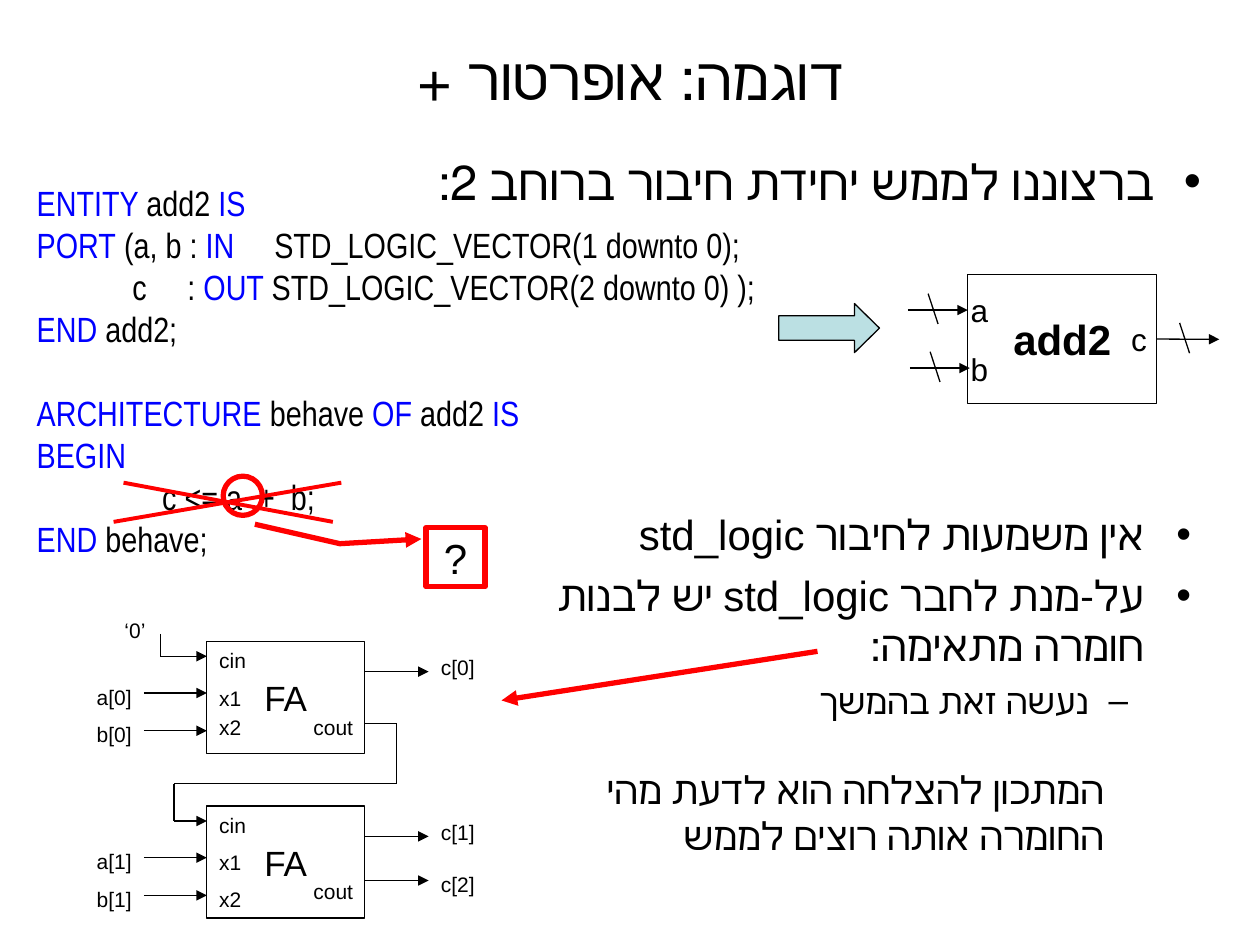
from lxml.etree import SubElement
from pptx import Presentation
from pptx.dml.color import RGBColor
from pptx.enum.shapes import MSO_CONNECTOR, MSO_SHAPE
from pptx.enum.text import MSO_ANCHOR, PP_ALIGN
from pptx.oxml.ns import qn
from pptx.util import Cm, Pt

COLORS = {"black": "000000", "keyword": "0000FF", "red": "FF0000", "arrow": "BBE0E3"}
ALIGN = {"l": PP_ALIGN.LEFT, "c": PP_ALIGN.CENTER, "r": PP_ALIGN.RIGHT}


def rgb(name):
    return RGBColor.from_string(COLORS[name])


def write(p, text, size=12, font="Arial", color="black", bold=False, align="l",
          rtl=False, before=0, bullet=None, margin=0, hang=0, tabs=()):
    """Fill a paragraph; text is a string or a list of (text, colour) runs."""
    p.alignment = ALIGN[align]
    p.space_before = Pt(before)
    for part, part_color in [(text, color)] if isinstance(text, str) else text:
        r = p.add_run()
        r.text = part
        r.font.size, r.font.name, r.font.bold = Pt(size), font, bold
        r.font.color.rgb = rgb(part_color)
    pPr = p._p.get_or_add_pPr()
    if rtl:
        pPr.set("rtl", "1")
    if bullet:
        pPr.set("marL", str(Cm(margin)))
        pPr.set("indent", str(-Cm(hang)))
        SubElement(pPr, qn("a:buFont"), typeface="Arial")
        SubElement(pPr, qn("a:buChar"), char=bullet)
    if tabs:
        tab_list = SubElement(pPr, qn("a:tabLst"))
        for pos in tabs:
            SubElement(tab_list, qn("a:tab"), pos=str(Cm(pos)), algn="l")


class Board:
    def __init__(self, slide, line_width=0.75):
        self.slide = slide
        self.line_width = line_width

    def text(self, x, y, w, h, *paragraphs, **fmt):
        """Each paragraph is a string, a run list, or (text, own format)."""
        tf = self.slide.shapes.add_textbox(Cm(x), Cm(y), Cm(w), Cm(h)).text_frame
        tf.word_wrap = True
        for i, item in enumerate(paragraphs):
            content, own = item if isinstance(item, tuple) else (item, {})
            p = tf.add_paragraph() if i else tf.paragraphs[0]
            write(p, content, **{**fmt, **own})

    def shape(self, kind, x, y, w, h, text=None, color="black", width=None,
              fill=None, wrap=False, **fmt):
        sp = self.slide.shapes.add_shape(kind, Cm(x), Cm(y), Cm(w), Cm(h))
        sp.shadow.inherit = False
        if fill:
            sp.fill.solid()
            sp.fill.fore_color.rgb = rgb(fill)
        else:
            sp.fill.background()
        sp.line.color.rgb = rgb(color)
        sp.line.width = Pt(width or self.line_width)
        if text:
            tf = sp.text_frame
            tf.word_wrap = wrap
            tf.vertical_anchor = MSO_ANCHOR.MIDDLE
            write(tf.paragraphs[0], text, align="c", **fmt)
        return sp

    def line(self, x1, y1, x2, y2, arrow=False, color="black", width=None):
        c = self.slide.shapes.add_connector(
            MSO_CONNECTOR.STRAIGHT, Cm(x1), Cm(y1), Cm(x2), Cm(y2))
        c.line.color.rgb = rgb(color)
        c.line.width = Pt(width or self.line_width)
        if arrow:
            SubElement(c.line._get_or_add_ln(), qn("a:tailEnd"), type="triangle")
        SubElement(c._element.spPr, qn("a:effectLst"))
        return c

    def wire(self, *points):
        """Bent wire with an arrowhead on its last leg."""
        last = len(points) - 2
        for i, (start, end) in enumerate(zip(points, points[1:])):
            self.line(*start, *end, arrow=i == last)

    def bus(self, x, y):
        """Arrow with a slash across it."""
        c = self.line(x, y, x + 1.21, y, arrow=True)
        self.line(x + 0.41, y - 0.33, x + 0.61, y + 0.28)
        return c

    def full_adder(self, i, dy, x2_top):
        self.shape(MSO_SHAPE.RECTANGLE, 4.17, 12.93 + dy, 3.18, 2.26, "FA", size=20)
        for y in (13.97, 14.73):
            self.line(2.9, y + dy, 4.17, y + dy, arrow=True)
        self.line(7.35, 13.54 + dy, 8.64, 13.54 + dy, arrow=True)
        for name, x, y in ((f"a[{i}]", 1.7, 13.67), (f"b[{i}]", 1.7, 14.43),
                           (f"c[{i}]", 8.64, 13.07), ("cin", 4.17, 12.93),
                           ("x1", 4.17, 13.69), ("x2", 4.17, x2_top),
                           ("cout", 6.07, 14.27)):
            self.text(x, y + dy, 1.42, 0.76, name)


prs = Presentation()
prs.slide_width, prs.slide_height = Cm(25.4), Cm(19.05)
s = Board(prs.slides.add_slide(prs.slide_layouts[6]))

# Title and opening bullet
s.text(1.3, 0.71, 22.86, 1.8, "דוגמה: אופרטור +", size=34, align="c", rtl=True)
level1 = dict(bullet="•", margin=0.95, hang=0.95)
s.text(5.69, 2.92, 18.77, 1.8, "ברצוננו לממש יחידת חיבור ברוחב 2:",
       size=28, align="r", rtl=True, **level1)

# VHDL code
K, B = "keyword", "black"
s.text(0.49, 3.53, 18.6, 7.87,
       [("ENTITY ", K), ("add2", B), (" IS", K)],
       ([("PORT", K), (" (a, b : ", B), ("IN\t", K),
         ("STD_LOGIC_VECTOR(1 downto 0);", B)], dict(tabs=[4.79])),
       ([("\tc\t: ", B), ("OUT ", K), ("STD_LOGIC_VECTOR(2 downto 0) );", B)],
        dict(tabs=[1.93, 3.04])),
       [("END", K), (" add2;", B)],
       ([("ARCHITECTURE", K), (" behave ", B), ("OF", K), (" add2 ", B), ("IS", K)],
        dict(before=24)),
       [("BEGIN", K)],
       ("\tc <= a  +  b;", dict(tabs=[2.53])),
       [("END", K), (" behave;", B)],
       size=20, font="Arial Narrow")

# Ripple adder: two full adders with the carry wired between them
STAGE = 3.32
s.full_adder(0, 0, 14.27)
s.full_adder(1, STAGE, 14.43)
s.text(2.26, 12.32, 1.2, 0.76, "‘0’")
s.wire((3.23, 12.78), (3.23, 13.23), (4.17, 13.23))
s.wire((7.35, 14.58), (8, 14.58), (8, 15.8), (3.51, 15.8), (3.51, 16.55), (4.17, 16.55))
s.line(7.35, 17.75, 8.64, 17.75, arrow=True)
s.text(8.64, 17.45, 1.42, 0.76, "c[2]")

# add2 block with its buses
arrow = s.shape(MSO_SHAPE.RIGHT_ARROW, 15.7, 6.12, 2.03, 0.99, fill="arrow")
arrow.adjustments[1] = 0.51
add2 = s.shape(MSO_SHAPE.RECTANGLE, 19.51, 5.54, 3.81, 2.59, "add2", size=24, bold=True)
for name, x, y in (("a", 19.38, 5.74), ("b", 19.38, 6.93), ("c", 22.58, 6.32)):
    s.text(x, y, 0.79, 1.02, name, size=18, align="r", rtl=True)
s.bus(18.3, 6.25)
s.bus(18.34, 7.42)
s.bus(23.37, 6.84).begin_connect(add2, 3)

# Crossed-out addition and its callout
s.shape(MSO_SHAPE.OVAL, 4.5, 9.6, 0.79, 0.79, color="red", width=3)
callout = s.shape(MSO_SHAPE.LINE_CALLOUT_2, 8.59, 10.64, 1.19, 1.19, "?",
                  color="red", width=3, wrap=True, size=24)
for i, value in enumerate((0.19, -0.08, 0.27, -1.46, -0.06, -2.9)):
    callout.adjustments[i] = value
SubElement(callout.line._get_or_add_ln(), qn("a:headEnd"), type="triangle")
s.line(2.49, 9.73, 6.71, 10.52, color="red", width=2.25)
s.line(2.29, 10.52, 6.88, 9.73, color="red", width=2.25)

# Explanation and closing advice
s.text(10.11, 10.13, 14.15, 4.6,
       "אין משמעות לחיבור std_logic",
       "על-מנת לחבר std_logic יש לבנות חומרה מתאימה:",
       ("נעשה זאת בהמשך",
        dict(size=20, before=5, bullet="–", margin=2.06, hang=0.79)),
       size=24, align="r", rtl=True, before=6, **level1)
s.text(10.9, 15.32, 11.61, 2.59, "המתכון להצלחה הוא לדעת מהי החומרה אותה רוצים לממש",
       size=22, align="r", rtl=True)
s.line(16.48, 13.13, 10.11, 14.12, arrow=True, color="red", width=3)

prs.save("out.pptx")
